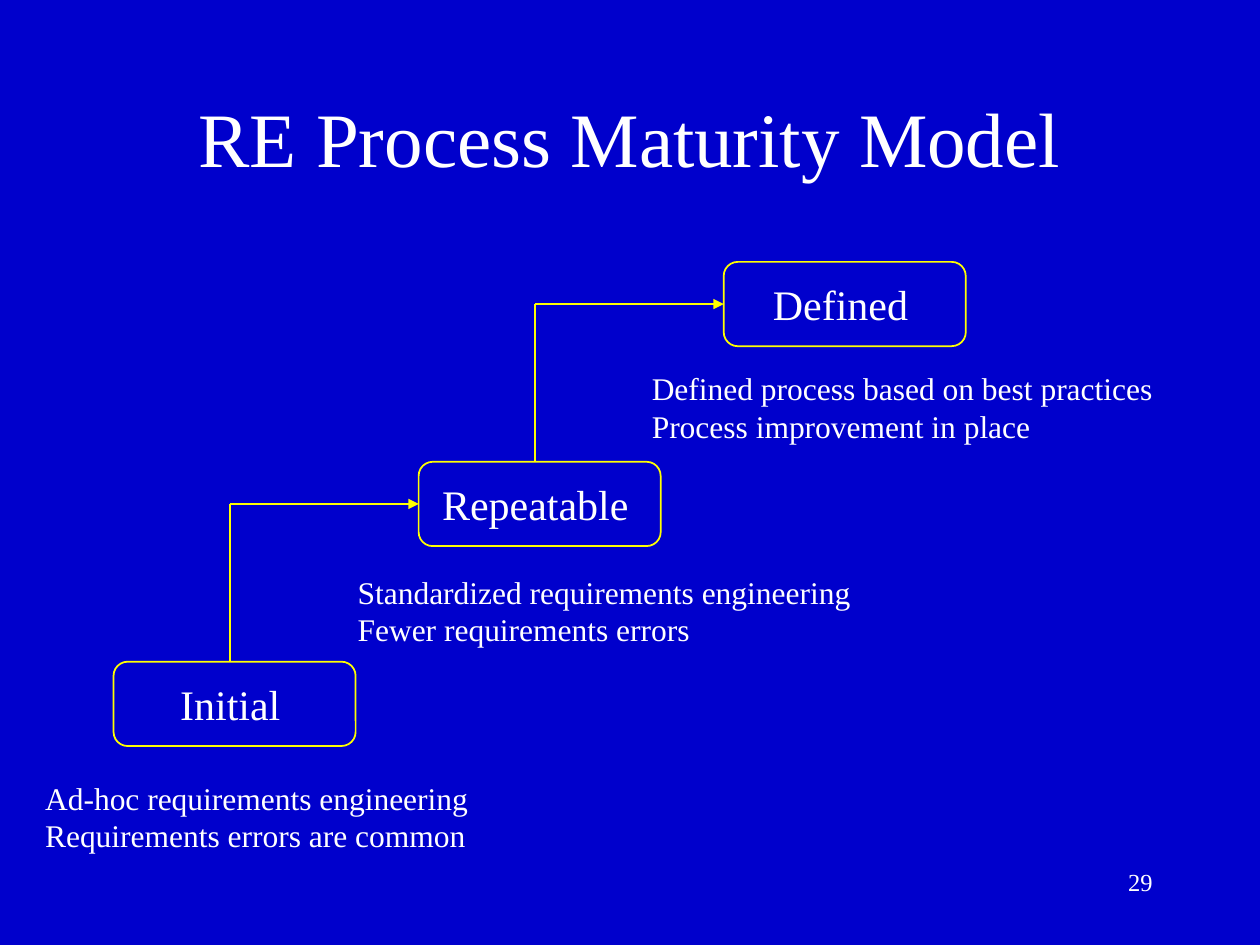
from dataclasses import dataclass

from lxml import etree
from pptx import Presentation
from pptx.dml.color import RGBColor
from pptx.enum.shapes import MSO_CONNECTOR, MSO_SHAPE
from pptx.enum.text import MSO_ANCHOR, MSO_AUTO_SIZE, PP_ALIGN
from pptx.oxml.ns import qn
from pptx.util import Cm, Pt

STRAIGHT = MSO_CONNECTOR.STRAIGHT
ROUNDED = MSO_SHAPE.ROUNDED_RECTANGLE
LEFT, CENTER, RIGHT = PP_ALIGN.LEFT, PP_ALIGN.CENTER, PP_ALIGN.RIGHT
TOP, MIDDLE, BOTTOM = MSO_ANCHOR.TOP, MSO_ANCHOR.MIDDLE, MSO_ANCHOR.BOTTOM
LEFT_SIDE = 1


@dataclass(frozen=True)
class Theme:
    background: RGBColor = RGBColor(0x00, 0x00, 0xCC)
    text: RGBColor = RGBColor(0xFF, 0xFF, 0xFF)
    line: RGBColor = RGBColor(0xFF, 0xFF, 0x00)
    font: str = "Times New Roman"
    title: int = 44
    level: int = 24
    note: int = 18
    number: int = 14
    line_width: int = 1


THEME = Theme()

# Level name, its notes, and the note box relative to the level box (cm)
LEVELS = [
    ("Initial",
     ["Ad-hoc requirements engineering", "Requirements errors are common"],
     (-1.63, 2.23, 11.58, 1.78)),
    ("Repeatable",
     ["Standardized requirements engineering", "Fewer requirements errors"],
     (-1.48, 2.11, 12.98, 1.78)),
    ("Defined",
     ["Defined process based on best practices", "Process improvement in place"],
     (-1.7, 2.03, 13.16, 1.78)),
]
FIRST_LEFT, FIRST_TOP = 2.29, 13.34
STEP_RIGHT, STEP_UP = 6.15, 4.03
LEVEL_WIDTH, LEVEL_HEIGHT = 4.88, 1.7
RISER_OFFSET = 2.34


def write_text(shape, lines, size, align=LEFT, anchor=TOP):
    frame = shape.text_frame
    frame.word_wrap = True
    frame.auto_size = MSO_AUTO_SIZE.NONE
    frame.vertical_anchor = anchor
    frame.text = "\n".join(lines)
    for paragraph in frame.paragraphs:
        paragraph.alignment = align
        font = paragraph.runs[0].font
        font.name, font.size = THEME.font, Pt(size)
        font.color.rgb = THEME.text


def add_text(slide, box, lines, size, **text_format):
    shape = slide.shapes.add_textbox(*map(Cm, box))
    write_text(shape, lines, size, **text_format)


def add_line(slide, start, end, arrow=False):
    line = slide.shapes.add_connector(STRAIGHT, *map(Cm, start + end))
    line.line.color.rgb = THEME.line
    line.line.width = Pt(THEME.line_width)
    if arrow:
        etree.SubElement(line.line._get_or_add_ln(), qn("a:tailEnd"), type="triangle")
    etree.SubElement(line._element.spPr, qn("a:effectLst"))
    return line


def add_title(slide, box, text):
    title = slide.shapes.title
    title.left, title.top, title.width, title.height = map(Cm, box)
    write_text(title, [text], THEME.title, align=CENTER, anchor=BOTTOM)


def add_level(slide, box, name, notes, note_box):
    left, top, _, _ = box
    shape = slide.shapes.add_shape(ROUNDED, *map(Cm, box))
    shape.shadow.inherit = False
    shape.fill.background()
    shape.line.color.rgb = THEME.line
    shape.line.width = Pt(THEME.line_width)
    write_text(shape, [name], THEME.level, align=CENTER, anchor=MIDDLE)
    shape.text_frame.margin_right = Cm(0.42)  # centres the name over the riser
    dx, dy, width, height = note_box
    add_text(slide, (left + dx, top + dy, width, height), notes, THEME.note)
    return shape


def add_step(slide, lower_box, upper_box, upper_shape):
    """Draw the riser and the arrow from one level to the next."""
    riser = lower_box[0] + RISER_OFFSET
    left, top, _, height = upper_box
    bend = (riser, top + height / 2)
    add_line(slide, (riser, lower_box[1]), bend)
    arrow = add_line(slide, bend, (left, bend[1]), arrow=True)
    arrow.end_connect(upper_shape, LEFT_SIDE)


def add_staircase(slide, left, top):
    previous_box = None
    for index, level in enumerate(LEVELS):
        box = (left + index * STEP_RIGHT, top - index * STEP_UP,
               LEVEL_WIDTH, LEVEL_HEIGHT)
        shape = add_level(slide, box, *level)
        if previous_box:
            add_step(slide, previous_box, box, shape)
        previous_box = box


def main():
    presentation = Presentation()
    presentation.slide_width, presentation.slide_height = Cm(25.4), Cm(19.05)
    title_only = presentation.slide_layouts.get_by_name("Title Only")
    slide = presentation.slides.add_slide(title_only)
    fill = slide.background.fill
    fill.solid()
    fill.fore_color.rgb = THEME.background

    add_title(slide, (1.9, 0.74, 21.6, 3.07), "RE Process Maturity Model")
    add_staircase(slide, FIRST_LEFT, FIRST_TOP)
    add_text(slide, (18.21, 17.35, 5.28, 1.27), ["29"], THEME.number, align=RIGHT)
    presentation.save("out.pptx")


if __name__ == "__main__":
    main()
